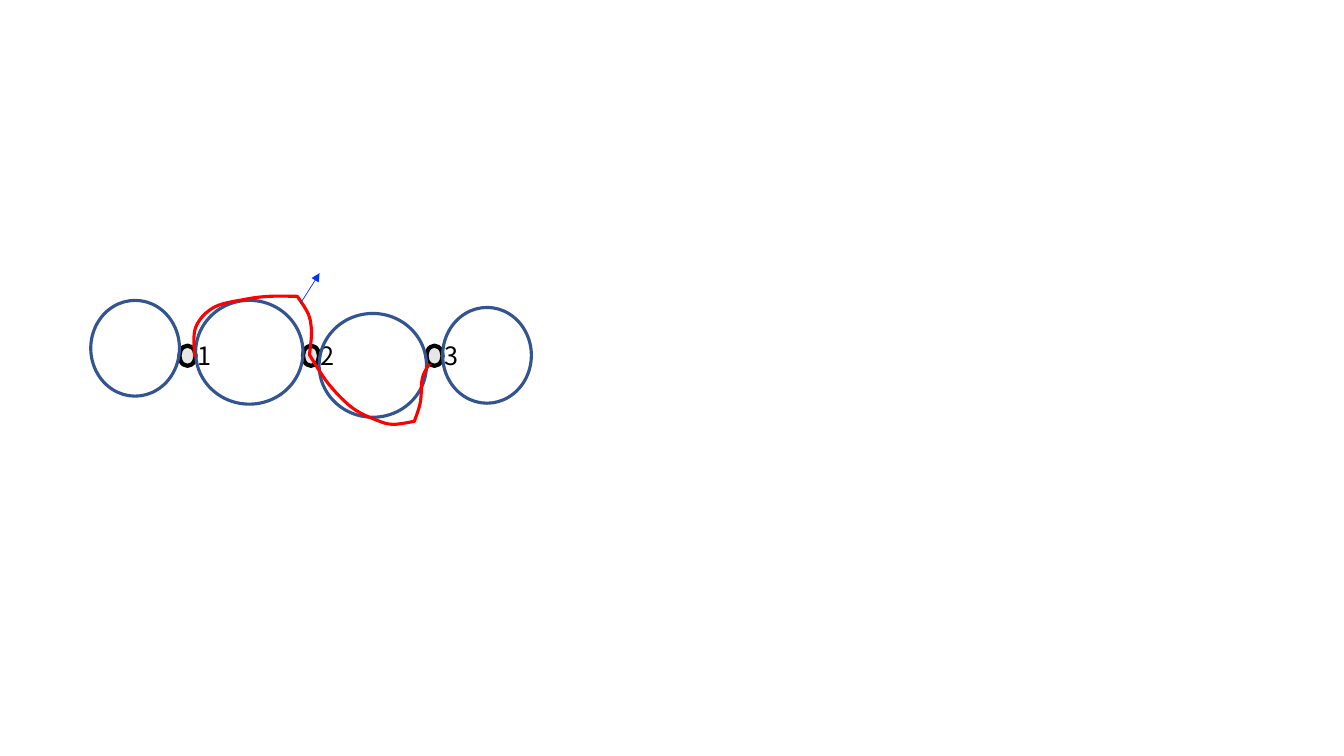
from itertools import pairwise

from lxml.etree import SubElement
from pptx import Presentation
from pptx.dml.color import RGBColor
from pptx.enum.shapes import MSO_CONNECTOR, MSO_SHAPE
from pptx.enum.text import MSO_AUTO_SIZE
from pptx.oxml.ns import qn
from pptx.util import Inches, Pt

COLORS = {
    "node": "E7E6E6",
    "black": "000000",
    "circle": "325491",
    "route": "FF0000",
    "arrow": "0432FF",
}
FONT = "Noto Sans CJK SC"

NODE_LABELS = ["1", "2", "3"]
FIRST_NODE_LEFT, LAST_NODE_LEFT = 1.78, 4.23
NODE_TOP, NODE_WIDTH, NODE_HEIGHT = 3.43, 0.16, 0.2
NODE_STEP = (LAST_NODE_LEFT - FIRST_NODE_LEFT) / (len(NODE_LABELS) - 1)
LABEL_TOP, LABEL_WIDTH, LABEL_HEIGHT = 3.33, 0.34, 0.4

CIRCLE_TOPS = [2.98, 2.98, 3.11, 3.05]
END_CIRCLE_WIDTH, END_CIRCLE_HEIGHT = 0.88, 0.95
INNER_CIRCLE_WIDTH, INNER_CIRCLE_HEIGHT = NODE_STEP - NODE_WIDTH, 1.03

NODE_1_EXIT = (1.93, 3.54)
UPPER_CORNER = (2.95, 2.94)
NODE_2_CROSSING = (3.07, 3.52)
LOWER_CORNER = (4.11, 4.18)
NODE_3_ENTRY = (4.26, 3.61)
ROUTE_STROKES = {
    "over the second circle": [
        NODE_1_EXIT, (1.94, 3.25), (2.12, 3.05), (2.43, 2.97), (2.67, 2.94),
        UPPER_CORNER],
    "down to node 2": [
        UPPER_CORNER, (3.06, 3.12), (3.09, 3.3), NODE_2_CROSSING],
    "under the third circle": [
        NODE_2_CROSSING, (3.26, 3.81), (3.5, 4.05), (3.74, 4.17), (3.9, 4.21),
        LOWER_CORNER],
    "up to node 3": [
        LOWER_CORNER, (4.17, 3.99), (4.19, 3.75), NODE_3_ENTRY],
}
SAMPLES_PER_SPAN = 6

ARROW_START, ARROW_END = (2.98, 3.01), (3.17, 2.71)


def color(name):
    return RGBColor.from_string(COLORS[name])


def style_outline(shape, line_color, width, fill=None):
    shape.shadow.inherit = False
    if fill:
        shape.fill.solid()
        shape.fill.fore_color.rgb = color(fill)
    else:
        shape.fill.background()
    shape.line.color.rgb = color(line_color)
    shape.line.width = Pt(width)


def add_ellipse(slide, box, line_color, width, fill=None):
    shape = slide.shapes.add_shape(MSO_SHAPE.OVAL, *map(Inches, box))
    style_outline(shape, line_color, width, fill)


def add_label(slide, left, text):
    box = slide.shapes.add_textbox(
        *map(Inches, (left, LABEL_TOP, LABEL_WIDTH, LABEL_HEIGHT)))
    frame = box.text_frame
    frame.word_wrap = False
    frame.auto_size = MSO_AUTO_SIZE.SHAPE_TO_FIT_TEXT
    run = frame.paragraphs[0].add_run()
    run.text = text
    run.font.name = FONT
    run.font.size = Pt(18)
    run.font.color.rgb = color("black")


def add_nodes(slide):
    for index, text in enumerate(NODE_LABELS):
        left = FIRST_NODE_LEFT + index * NODE_STEP
        box = (left, NODE_TOP, NODE_WIDTH, NODE_HEIGHT)
        add_ellipse(slide, box, "black", 3, "node")
        add_label(slide, left + NODE_WIDTH / 2, text)


def add_circles(slide):
    left = FIRST_NODE_LEFT - END_CIRCLE_WIDTH
    last = len(CIRCLE_TOPS) - 1
    for index, top in enumerate(CIRCLE_TOPS):
        if index in (0, last):
            width, height = END_CIRCLE_WIDTH, END_CIRCLE_HEIGHT
        else:
            width, height = INNER_CIRCLE_WIDTH, INNER_CIRCLE_HEIGHT
        add_ellipse(slide, (left, top, width, height), "circle", 2.25)
        left += width + NODE_WIDTH


def hermite(start, end, start_slope, end_slope, t):
    return ((2 * t**3 - 3 * t**2 + 1) * start
            + (t**3 - 2 * t**2 + t) * start_slope
            + (3 * t**2 - 2 * t**3) * end
            + (t**3 - t**2) * end_slope)


def smooth_stroke(anchors):
    padded = [anchors[0], *anchors, anchors[-1]]
    slopes = [tuple((after - before) / 2 for before, after in zip(*neighbors))
              for neighbors in zip(padded, padded[2:])]
    for (start, start_slope), (end, end_slope) in pairwise(zip(anchors, slopes)):
        for sample in range(1, SAMPLES_PER_SPAN + 1):
            t = sample / SAMPLES_PER_SPAN
            yield tuple(Inches(hermite(*axis, t))
                        for axis in zip(start, end, start_slope, end_slope))


def add_route(slide):
    builder = slide.shapes.build_freeform(*map(Inches, NODE_1_EXIT))
    for anchors in ROUTE_STROKES.values():
        builder.add_line_segments(list(smooth_stroke(anchors)), close=False)
    style_outline(builder.convert_to_shape(), "route", 2.25)


def add_arrow(slide, start, end):
    arrow = slide.shapes.add_connector(
        MSO_CONNECTOR.STRAIGHT, *map(Inches, start + end))
    arrow.line.color.rgb = color("arrow")
    arrow.line.width = Pt(0.5)
    properties = arrow._element.spPr
    SubElement(properties.find(qn("a:ln")), qn("a:tailEnd"), type="triangle")
    SubElement(properties, qn("a:effectLst"))


def main():
    presentation = Presentation()
    presentation.slide_width = Inches(13.33)
    presentation.slide_height = Inches(7.5)
    slide = presentation.slides.add_slide(presentation.slide_layouts[6])

    add_nodes(slide)
    add_circles(slide)
    add_route(slide)
    add_arrow(slide, ARROW_START, ARROW_END)

    presentation.save("out.pptx")


if __name__ == "__main__":
    main()
